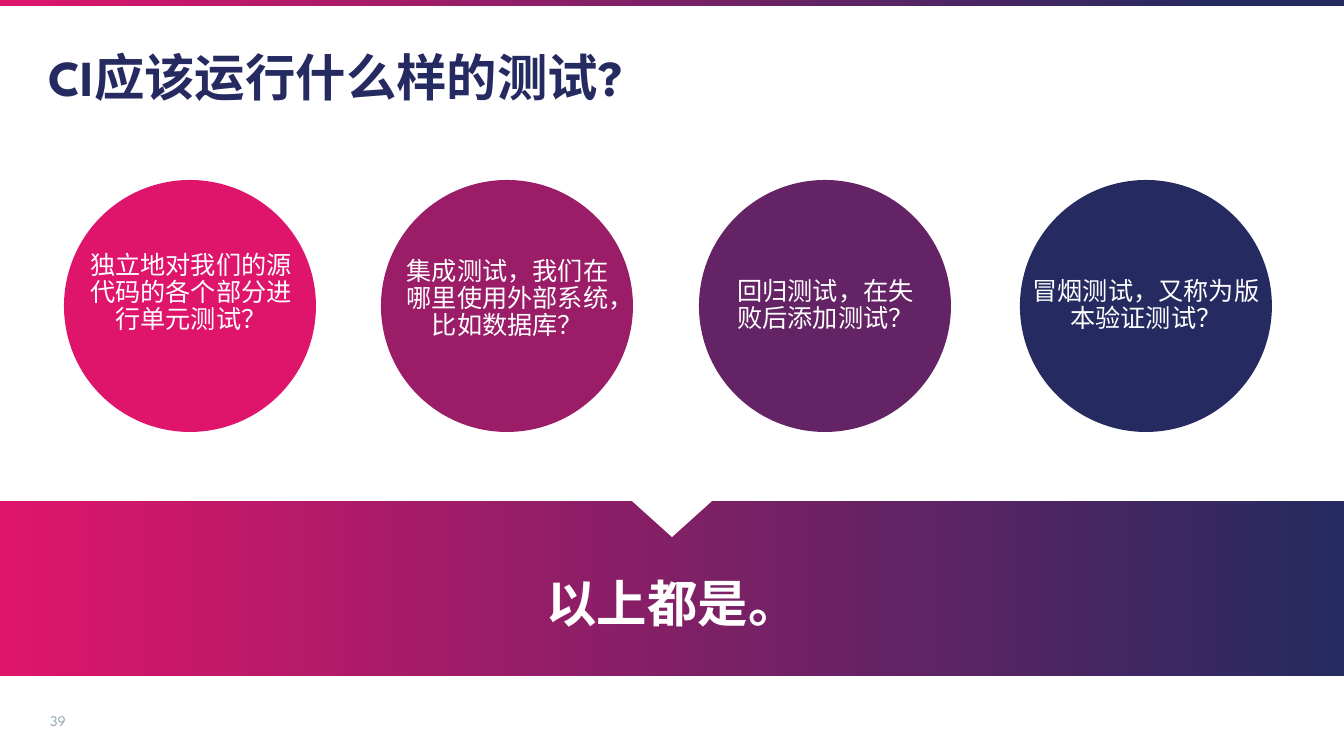
"""Build the slide on which tests a CI pipeline should run."""
import pptx
import pptx.dml.color
import pptx.enum.shapes
import pptx.enum.text
import pptx.oxml.ns
import pptx.util
from lxml import etree

RGBColor = pptx.dml.color.RGBColor
SHAPE = pptx.enum.shapes.MSO_SHAPE
ALIGN = pptx.enum.text.PP_ALIGN
ANCHOR = pptx.enum.text.MSO_ANCHOR

PINK = RGBColor(0xDF, 0x15, 0x6C)
BERRY = RGBColor(0x9B, 0x1D, 0x68)
PURPLE = RGBColor(0x63, 0x23, 0x64)
NAVY = RGBColor(0x25, 0x2A, 0x60)
WHITE = RGBColor(0xFF, 0xFF, 0xFF)
GREY = RGBColor(0x8E, 0xA8, 0xAF)
SLIDE_W, SLIDE_H = 1344, 756


class SlideBuilder:
    font = "League Spartan"
    scale = 914400 / 100.8

    def __init__(self, prs):
        prs.slide_width, prs.slide_height = self.emu(SLIDE_W, SLIDE_H)
        self.s = prs.slides.add_slide(prs.slide_layouts[1])

    def emu(self, *lengths):
        return [pptx.util.Emu(round(px * self.scale)) for px in lengths]

    def shape(self, kind, box, color):
        sp = self.s.shapes.add_shape(kind, *self.emu(*box))
        sp.shadow.inherit = False
        sp.fill.solid()
        sp.fill.fore_color.rgb = color
        sp.line.fill.background()
        return sp

    def gradient_bar(self, box, end, angle):
        sp = self.shape(SHAPE.RECTANGLE, box, PINK)
        sp.fill.gradient()
        sp.fill.gradient_angle = angle
        stops = zip(sp.fill.gradient_stops, (0, end), (PINK, NAVY))
        for stop, position, color in stops:
            stop.position = position
            stop.color.rgb = color

    def fill_text(self, sp, text, size, color, bold=False, align=ALIGN.CENTER,
                  anchor=ANCHOR.MIDDLE, spacing=0.9):
        tf = sp.text_frame
        tf.word_wrap = True
        tf.auto_size = pptx.enum.text.MSO_AUTO_SIZE.NONE
        tf.vertical_anchor = anchor
        p = tf.paragraphs[0]
        p.alignment = align
        p.line_spacing = spacing
        p.space_before = pptx.util.Pt(0)
        r = p.add_run()
        r.text = text
        r.font.name = self.font
        r.font.size = pptx.util.Pt(size)
        r.font.bold = bold
        r.font.color.rgb = color

    def text(self, box, text, size, color, **style):
        sp = self.s.shapes.add_textbox(*self.emu(*box))
        self.fill_text(sp, text, size, color, **style)

    def placeholder(self, idx, box, text, size, color, **style):
        sp = self.s.placeholders[idx]
        sp.left, sp.top, sp.width, sp.height = self.emu(*box)
        sp.element.getparent().append(sp.element)
        self.fill_text(sp, text, size, color, **style)
        return sp

    def body(self, box, text, size, color):
        sp = self.placeholder(1, box, text, size, color)
        pPr = sp.text_frame.paragraphs[0]._p.get_or_add_pPr()
        pPr.set("marL", "0")
        pPr.set("indent", "0")
        etree.SubElement(pPr, pptx.oxml.ns.qn("a:buNone"))


def main():
    prs = pptx.Presentation()
    slide = SlideBuilder(prs)

    slide.gradient_bar((0, 0, SLIDE_W, 6), 0.91, 320)
    slide.text((38, 701, 40, 40), "39", 10.5, GREY, spacing=1)

    circles = ((64, PINK), (381, BERRY), (699, PURPLE), (1020, NAVY))
    for left, color in circles:
        slide.shape(SHAPE.OVAL, (left, 180, 252, 252), color)

    slide.gradient_bar((0, 501, SLIDE_W, 175), 1, 0)
    slide.text((460, 567, 425, 72), "以上都是。", 36, WHITE,
               bold=True, anchor=ANCHOR.TOP, spacing=1)
    notch = slide.shape(SHAPE.ISOSCELES_TRIANGLE, (632, 501, 80, 36), WHITE)
    notch.rotation = 180

    slide.placeholder(0, (38, 47, 1268, 66), "CI应该运行什么样的测试?", 36, NAVY,
                      bold=True, align=ALIGN.LEFT)
    slide.body((73, 220, 236, 147),
               "独立地对我们的源代码的各个部分进行单元测试？", 18, WHITE)
    tests = (
        ((389, 226, 237, 147), "集成测试，我们在哪里使用外部系统，比如数据库？"),
        ((719, 246, 213, 120), "回归测试，在失败后添加测试？"),
        ((1020, 246, 252, 120), "冒烟测试，又称为版本验证测试？"),
    )
    for box, text in tests:
        slide.text(box, text, 18, WHITE)

    prs.save("out.pptx")


if __name__ == "__main__":
    main()
